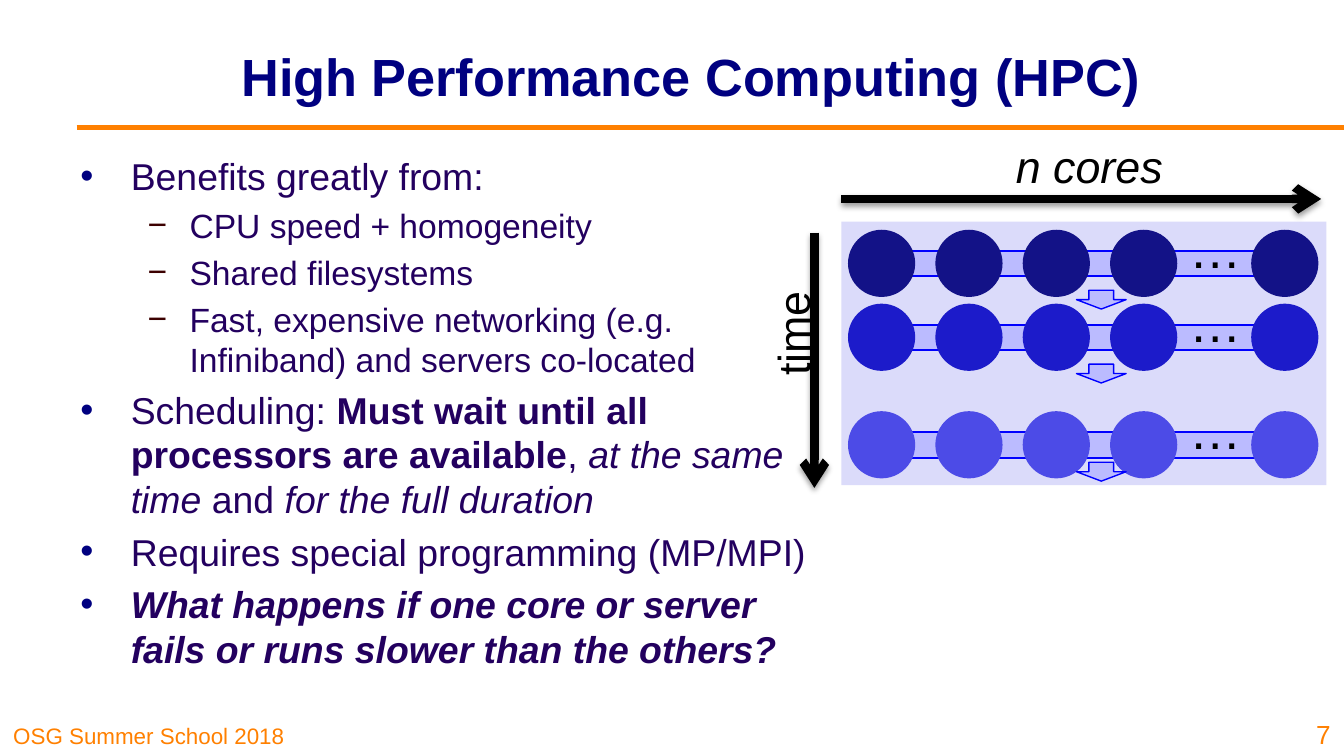
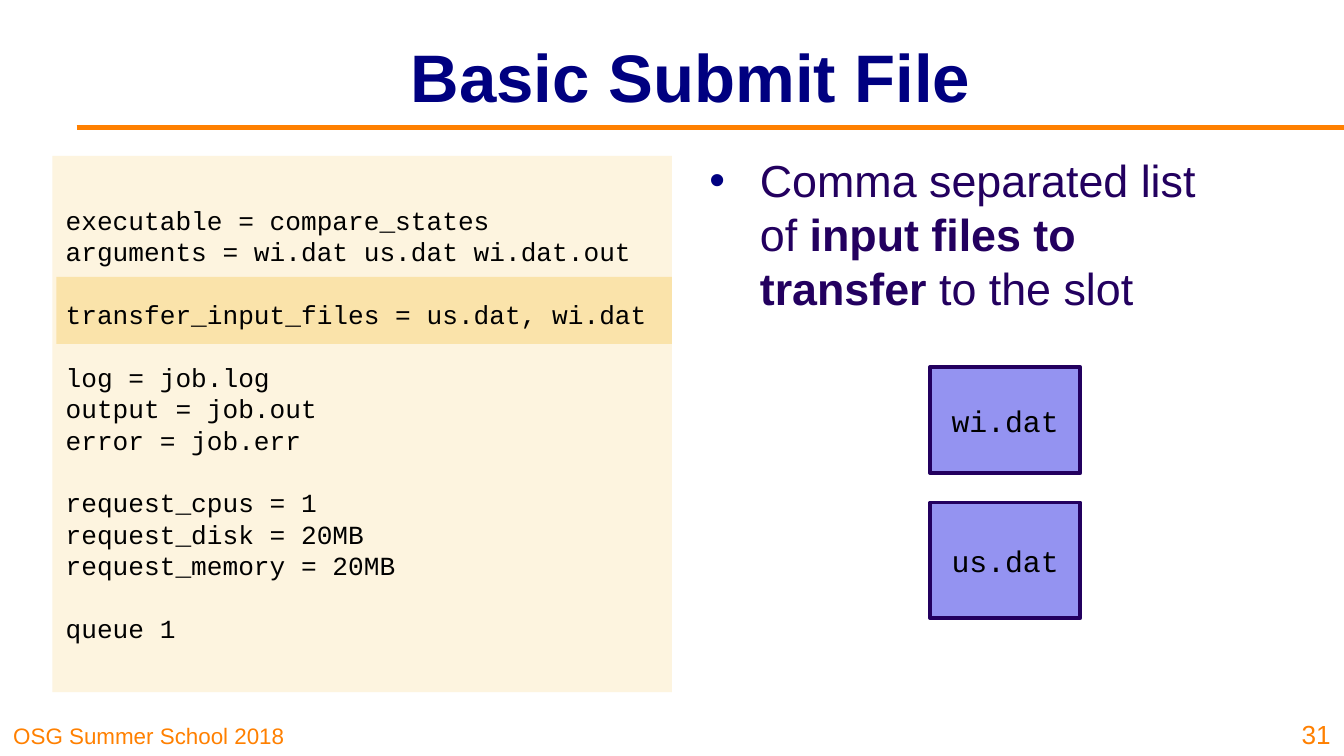
from lxml import etree
from pptx import Presentation
from pptx.dml.color import RGBColor
from pptx.enum.shapes import MSO_CONNECTOR, MSO_SHAPE
from pptx.enum.text import MSO_ANCHOR, PP_ALIGN
from pptx.oxml import parse_xml
from pptx.oxml.ns import nsdecls, qn
from pptx.util import Pt

NAVY, ORANGE, INDIGO, BLACK = "000080", "FF8000", "23005F", "000000"
BAR_FILL, BAR_LINE = "BBBBFF", "0000FF"
SANS, MONO = "Arial", "Courier New"
LINE_HEIGHT = 1.2
FOOTER = "OSG Summer School 2018"

LEVELS = [
    {"bullet": "•", "color": NAVY, "margin": 27, "indent": -27},
    {"bullet": "−", "color": "3C0000", "margin": 58.5, "indent": -22.5},
]
HPC_POINTS = [
    (0, 20, [("Benefits greatly from:", "")]),
    (1, 18, [("CPU speed + homogeneity", "")]),
    (1, 18, [("Shared filesystems", "")]),
    (1, 18, [("Fast, expensive networking (e.g. Infiniband) and servers co-located", "")]),
    (0, 20, [
        ("Scheduling: ", ""),
        ("Must wait until all processors are available", "b"),
        (", ", ""),
        ("at the same time", "i"),
        (" and ", ""),
        ("for the full duration", "i"),
    ]),
    (0, 20, [("Requires special programming (MP/MPI)", "")]),
    (0, 20, [("What happens if one core or server fails or runs slower than the others?", "bi")]),
]
CORE_ROWS = [(123.1, "131287", 32.4), (162.7, "1C1BCA", 32.4), (220.3, "4C4BE7", 27.4)]
CORE_SIZE, CORE_LEFT, CORE_STEP, LAST_CORE = 36, 454.3, 46.8, 670.3

SUBMIT_POINTS = [
    (0, 24, [
        ("Comma separated list of ", ""),
        ("input files to transfer ", "b"),
        ("to the slot", ""),
    ]),
]
SUBMIT_GROUPS = [
    ["executable = compare_states", "arguments = wi.dat us.dat wi.dat.out"],
    ["transfer_input_files = us.dat, wi.dat"],
    ["log = job.log", "output = job.out", "error = job.err"],
    ["request_cpus = 1", "request_disk = 20MB", "request_memory = 20MB"],
    ["queue 1"],
]
INPUT_FILES = [("wi.dat", 196.6, 56.9), ("us.dat", 269.3, 61.9)]


def rgb(color):
    return RGBColor.from_string(color)


def style(span, size, color, font=SANS, marks=""):
    span.font.size = Pt(size)
    span.font.name = font
    span.font.color.rgb = rgb(color)
    span.font.bold = "b" in marks
    span.font.italic = "i" in marks


def add_text(page, area, text, size, color, font=SANS, marks="",
             align=PP_ALIGN.LEFT, anchor=MSO_ANCHOR.TOP, wrap=True):
    box = page.shapes.add_textbox(*map(Pt, area))
    fill_text(box, text, size, color, font, marks, align, anchor)
    box.text_frame.word_wrap = wrap
    return box


def fill_text(box, text, size, color, font, marks, align, anchor):
    frame = box.text_frame
    frame.text = text
    frame.vertical_anchor = anchor
    for para in frame.paragraphs:
        para.alignment = align
        for span in para.runs:
            style(span, size, color, font, marks)


def add_block(page, kind, area, fill, line=None, width=1):
    block = page.shapes.add_shape(kind, *map(Pt, area))
    block.shadow.inherit = False
    block.fill.solid()
    block.fill.fore_color.rgb = rgb(fill)
    if line:
        block.line.color.rgb = rgb(line)
        block.line.width = Pt(width)
    else:
        block.line.fill.background()
    return block


def add_line(page, ends, color, width):
    line = page.shapes.add_connector(MSO_CONNECTOR.STRAIGHT, *map(Pt, ends))
    line.line.color.rgb = rgb(color)
    line.line.width = Pt(width)
    effects = etree.SubElement(line._element.spPr, qn("a:effectLst"))
    return line, effects


def add_arrow(page, ends):
    arrow, effects = add_line(page, ends, BLACK, 4.5)
    etree.SubElement(arrow.line._get_or_add_ln(), qn("a:tailEnd"), type="arrow")
    effects.append(parse_xml(
        f'<a:outerShdw {nsdecls("a")} blurRad="{Pt(3.1)}" dist="{Pt(1.6)}" '
        f'dir="5400000" rotWithShape="0"><a:srgbClr val="{BLACK}">'
        '<a:alpha val="38000"/></a:srgbClr></a:outerShdw>'))


def add_bullet(para, level):
    rule = LEVELS[level]
    para.level = level
    props = para._p.get_or_add_pPr()
    props.set("marL", str(Pt(rule["margin"])))
    props.set("indent", str(Pt(rule["indent"])))
    tint = etree.SubElement(props, qn("a:buClr"))
    etree.SubElement(tint, qn("a:srgbClr"), val=rule["color"])
    etree.SubElement(props, qn("a:buFont"), typeface=SANS)
    etree.SubElement(props, qn("a:buChar"), char=rule["bullet"])


def add_points(page, area, points):
    frame = page.shapes.add_textbox(*map(Pt, area)).text_frame
    frame.word_wrap = True
    for index, (level, size, spans) in enumerate(points):
        para = frame.add_paragraph() if index else frame.paragraphs[0]
        add_bullet(para, level)
        para.line_spacing = Pt(size * LINE_HEIGHT)
        if index:
            para.space_before = Pt(size * 0.2)
        for text, marks in spans:
            span = para.add_run()
            span.text = text
            style(span, size, INDIGO, marks=marks)


def add_page(deck, title, title_size, number):
    page = deck.slides.add_slide(deck.slide_layouts[6])
    add_text(page, (0, 382.3, 178.6, 22.3), FOOTER, 12, ORANGE, anchor=MSO_ANCHOR.BOTTOM)
    add_line(page, (41, 68.4, 720, 68.4), ORANGE, 3)
    add_text(page, (96.5, 6.5, 547.2, 67.7), title, title_size, NAVY, marks="b",
             align=PP_ALIGN.CENTER, anchor=MSO_ANCHOR.MIDDLE)
    add_text(page, (686.9, 378, 33.1, 27), number, 14, ORANGE,
             align=PP_ALIGN.RIGHT, anchor=MSO_ANCHOR.BOTTOM)
    return page


def add_core_grid(page):
    panel = add_block(page, MSO_SHAPE.ROUNDED_RECTANGLE, (450.7, 118.8, 259.9, 141.1), "DBDBFA")
    panel.adjustments[0] = 0
    add_arrow(page, (436.3, 124.6, 436.3, 261.4))
    add_text(page, (391.7, 157.7, 65.5, 36), "time", 24, BLACK).rotation = 270
    add_arrow(page, (450.7, 106.6, 707.8, 106.6))
    add_text(page, (537.1, 70.6, 154.8, 36), "n cores", 24, BLACK, marks="i")
    core_lefts = [CORE_LEFT + CORE_STEP * column for column in range(4)] + [LAST_CORE]
    for top, color, _ in CORE_ROWS:
        add_block(page, MSO_SHAPE.RECTANGLE, (475.9, top + 11.3, 223.2, 13.7), BAR_FILL, BAR_LINE)
        for left in core_lefts:
            add_block(page, MSO_SHAPE.OVAL, (left, top, CORE_SIZE, CORE_SIZE), color)
        add_text(page, (630, top - 10.8, 42.5, 41), "…", 28, BLACK, wrap=False)
    for top, _, drop in CORE_ROWS:
        add_block(page, MSO_SHAPE.DOWN_ARROW, (576.7, top + drop, 26.6, 10.1),
                  BAR_FILL, BAR_LINE, 0.75)


def add_submit_file(page):
    area = (28.1, 83.5, 331.9, 287.3)
    size = 14
    pitch = Pt(size * LINE_HEIGHT)
    add_block(page, MSO_SHAPE.RECTANGLE, area, "FDF4DF")
    add_block(page, MSO_SHAPE.RECTANGLE, (30.2, 148.3, 329.8, 36), "FAE3AA")
    lines = [line for group in SUBMIT_GROUPS for line in group]
    box = add_text(page, area, "\n".join(lines), size, BLACK, MONO, anchor=MSO_ANCHOR.MIDDLE)
    group_starts = [group[0] for group in SUBMIT_GROUPS[1:]]
    for para in box.text_frame.paragraphs:
        para.line_spacing = pitch
        if para.text in group_starts:
            para.space_before = pitch


def main():
    deck = Presentation()
    deck.slide_width, deck.slide_height = Pt(720), Pt(405)

    page = add_page(deck, "High Performance Computing (HPC)", 28, "7")
    add_points(page, (36, 78.5, 406.1, 276.5), HPC_POINTS)
    add_core_grid(page)

    page = add_page(deck, "Basic Submit File", 36, "31")
    add_submit_file(page)
    add_points(page, (373, 78.5, 300.2, 276.5), SUBMIT_POINTS)
    for name, top, height in INPUT_FILES:
        block = add_block(page, MSO_SHAPE.RECTANGLE, (498.2, top, 80.6, height),
                          "9493F1", INDIGO, 2)
        fill_text(block, name, 16, BLACK, MONO, "", PP_ALIGN.CENTER, MSO_ANCHOR.MIDDLE)

    deck.save("out.pptx")


if __name__ == "__main__":
    main()
